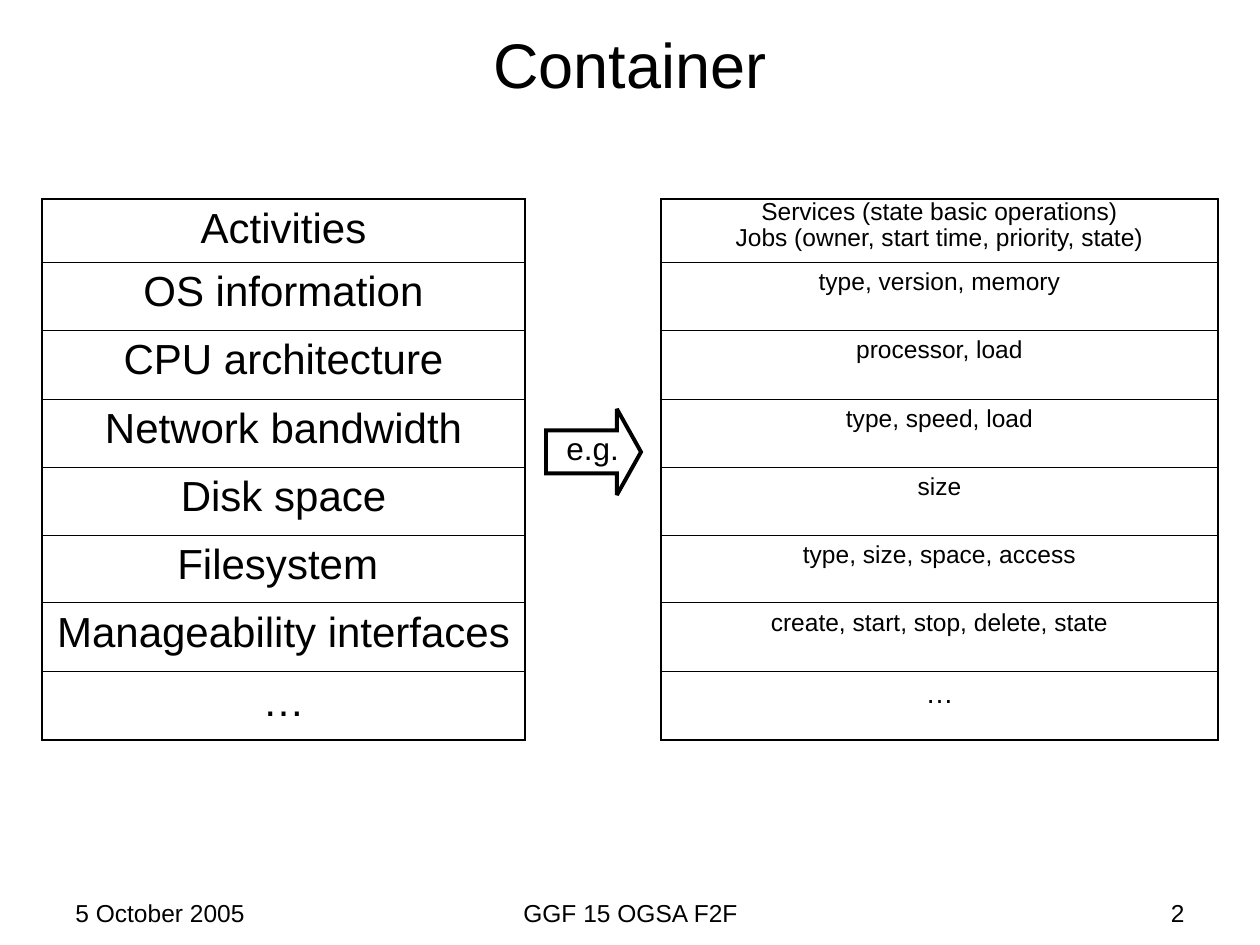
from dataclasses import dataclass

from lxml import etree
from pptx import Presentation
from pptx import util as u
from pptx.dml.color import RGBColor
from pptx.enum import shapes, text
from pptx.oxml.ns import qn

PX_PER_INCH = 126
LEFT, CENTER, RIGHT = text.PP_ALIGN.LEFT, text.PP_ALIGN.CENTER, text.PP_ALIGN.RIGHT


@dataclass(frozen=True)
class Theme:
    font: str = "Arial"
    ink: str = "000000"
    title: int = 36
    resource: int = 24
    label: int = 18
    ellipsis: int = 16
    example: int = 14
    footer: int = 14
    outer_line: float = 1.08
    inner_line: float = 0.45
    arrow_line: float = 2.25


THEME = Theme()
RESOURCES = [
    "Activities",
    "OS information",
    "CPU architecture",
    "Network bandwidth",
    "Disk space",
    "Filesystem ",
    "Manageability interfaces",
    "…",
]
EXAMPLES = [
    "Services (state basic operations)\nJobs (owner, start time, priority, state)",
    "type, version, memory",
    "processor, load",
    "type, speed, load",
    "size",
    "type, size, space, access",
    "create, start, stop, delete, state",
    "…",
]


def px(length):
    return u.Emu(round(length * 914400 / PX_PER_INCH))


def add_span(para, words, size):
    span = para.add_run()
    span.text = words
    span.font.name = THEME.font
    span.font.size = u.Pt(size)
    span.font.color.rgb = RGBColor.from_string(THEME.ink)


def add_text(page, frame, words, size, align=LEFT,
             anchor=text.MSO_ANCHOR.TOP, wrap=True):
    box = page.shapes.add_textbox(*map(px, frame))
    body = box.text_frame
    body.word_wrap = wrap
    body.auto_size = text.MSO_AUTO_SIZE.NONE
    body.vertical_anchor = anchor
    para = body.paragraphs[0]
    para.alignment = align
    add_span(para, words, size)


def set_borders(cell, is_first, is_last):
    outer, inner = THEME.outer_line, THEME.inner_line
    widths = {
        "a:lnL": outer,
        "a:lnR": outer,
        "a:lnT": outer if is_first else inner,
        "a:lnB": outer if is_last else inner,
    }
    properties = cell._tc.get_or_add_tcPr()
    for position, (tag, width) in enumerate(widths.items()):
        line = etree.Element(qn(tag), w=str(u.Pt(width)))
        fill = etree.SubElement(line, qn("a:solidFill"))
        etree.SubElement(fill, qn("a:srgbClr"), val=THEME.ink)
        properties.insert(position, line)


def fill_cell(cell, words, size):
    cell.fill.background()
    lines = words.split("\n")
    for index, line in enumerate(lines):
        body = cell.text_frame
        para = body.add_paragraph() if index else body.paragraphs[0]
        para.alignment = CENTER
        if len(lines) > 1:
            para.line_spacing = 0.7
        if index:
            para.space_before = u.Pt(3.5)
        add_span(para, line, size)


def add_stack(page, left, width, entries, size, last_size):
    top, first_height, rest_height = 199, 63, 478
    last = len(entries) - 1
    edges = [0] + [first_height + round(rest_height * step / last)
                   for step in range(last + 1)]
    holder = page.shapes.add_table(
        len(entries), 1, px(left), px(top), px(width), px(edges[-1]))
    table = holder.table
    table.first_row = False
    table.horz_banding = False
    table.columns[0].width = px(width)
    for index, words in enumerate(entries):
        table.rows[index].height = px(edges[index + 1] - edges[index])
        cell = table.cell(index, 0)
        fill_cell(cell, words, last_size if index == last else size)
        set_borders(cell, index == 0, index == last)


def add_arrow(page, frame):
    arrow = page.shapes.add_shape(shapes.MSO_SHAPE.RIGHT_ARROW, *map(px, frame))
    arrow.shadow.inherit = False
    arrow.adjustments[0] = 0.5
    arrow.adjustments[1] = 0.28
    arrow.fill.background()
    arrow.line.color.rgb = RGBColor.from_string(THEME.ink)
    arrow.line.width = u.Pt(THEME.arrow_line)
    outline = arrow.line._get_or_add_ln()
    etree.SubElement(outline, qn("a:miter"), lim="800000")


def add_footer(page, left, width, words, align):
    add_text(page, (left, 892, width, 34), words, THEME.footer, align)


def main():
    deck = Presentation()
    deck.slide_width, deck.slide_height = px(1260), px(945)
    page = deck.slides.add_slide(deck.slide_layouts[6])
    add_text(page, (63, 0, 1134, 126), "Container", THEME.title, CENTER,
             text.MSO_ANCHOR.MIDDLE)
    add_stack(page, 661, 557, EXAMPLES, THEME.example, THEME.ellipsis)
    add_stack(page, 42, 483, RESOURCES, THEME.resource, THEME.resource)
    add_arrow(page, (546, 409, 95, 86))
    add_text(page, (554, 423, 80, 50), "e.g.", THEME.label, wrap=False)
    add_footer(page, 431, 399, "GGF 15 OGSA F2F", CENTER)
    add_footer(page, 903, 294, "2", RIGHT)
    add_footer(page, 63, 294, "5 October 2005", LEFT)
    deck.save("out.pptx")


if __name__ == "__main__":
    main()
